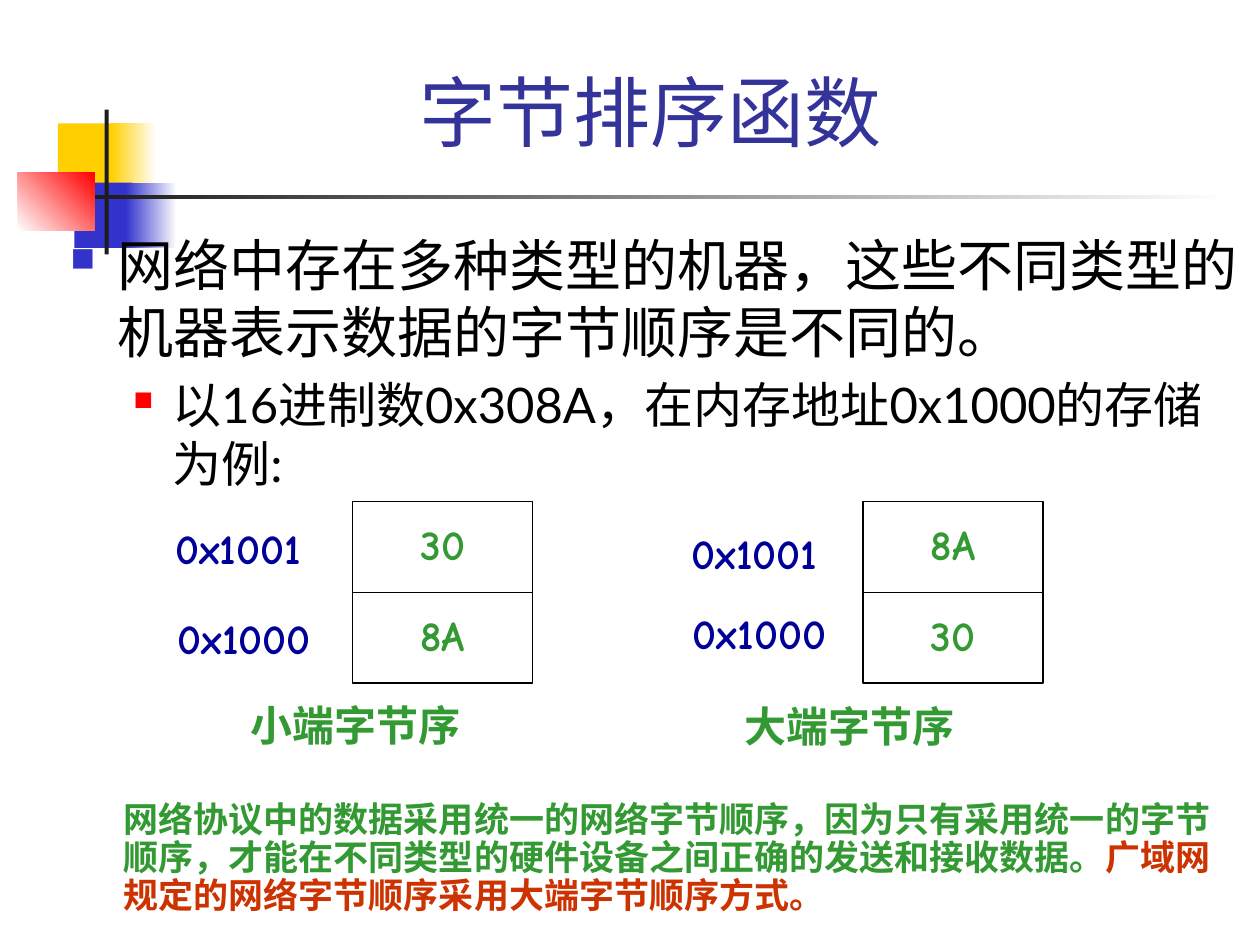
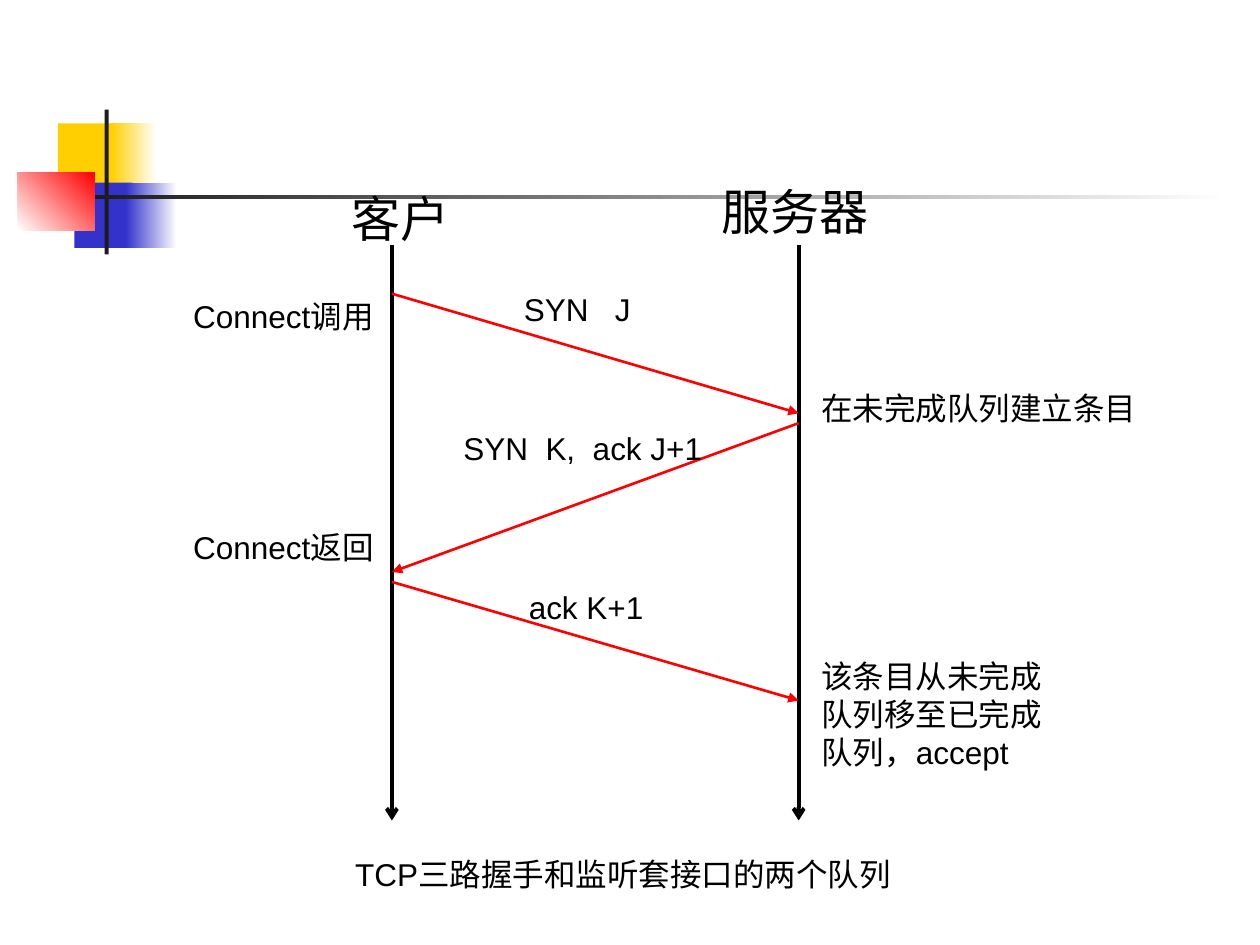
from dataclasses import dataclass

from lxml import etree
from pptx import Presentation
from pptx.dml.color import RGBColor
from pptx.enum.shapes import MSO_CONNECTOR, MSO_SHAPE
from pptx.enum.text import MSO_ANCHOR, PP_ALIGN
from pptx.oxml.ns import qn
from pptx.util import Cm, Pt

RECT = MSO_SHAPE.RECTANGLE
LINE = MSO_CONNECTOR.STRAIGHT
TOP, MID, LOW = MSO_ANCHOR.TOP, MSO_ANCHOR.MIDDLE, MSO_ANCHOR.BOTTOM
LEFT, CENTER, RIGHT = PP_ALIGN.LEFT, PP_ALIGN.CENTER, PP_ALIGN.RIGHT


@dataclass(frozen=True)
class Theme:
    black: str = "000000"
    white: str = "FFFFFF"
    ink: str = "1C1C1C"
    gold: str = "FFCF01"
    blue: str = "3333CC"
    red: str = "FF0000"
    title: str = "333399"
    green: str = "339933"
    navy: str = "000099"
    rust: str = "CC3300"
    head: str = "Lato"
    comic: str = "Comic Neue"
    plain: str = "Arial"
    huge: int = 44
    big: int = 32
    mid: int = 28
    cell: int = 24
    note: int = 20
    small: int = 18


T = Theme()

BANDS = [
    ((1.17, 2.49, 1.22, 1.32), [T.gold], 0),
    ((2.24, 2.49, 0.91, 1.32), [T.gold, T.white], 0),
    ((1.5, 3.68, 1.17, 1.32), [T.blue], 0),
    ((2.54, 3.68, 1.02, 1.32), [T.blue, T.white], 0),
    ((0.36, 3.48, 1.55, 1.17), [T.white, T.red], 45),
    ((2.11, 2.21, 0.08, 2.92), [T.ink], 0),
    ((1.91, 3.94, 22.86, 0.08), [T.ink, T.white], 0),
]

TITLE = "字节排序函数"
POINTS = [
    ("网络中存在多种类型的机器，这些不同类型的机器表示数据的字节顺序是不同的。",
     T.big, 0, 0.95, 0.95, T.blue, 60),
    ("以16进制数0x308A，在内存地址0x1000的存储为例:",
     T.mid, 5.6, 2.06, 0.79, T.red, 55),
]
ORDERS = [
    {"left": 7.11, "cells": ["30", "8A"],
     "marks": [("0x1001", 3.28, 10.52), ("0x1000", 3.33, 12.34)],
     "name": ("小端字节序", 4.8, 14.1)},
    {"left": 17.4, "cells": ["8A", "30"],
     "marks": [("0x1001", 13.69, 10.62), ("0x1000", 13.72, 12.24)],
     "name": ("大端字节序", 14.76, 14.12)},
]
CELL_TOP, CELL_W, CELL_H = 10.11, 3.63, 1.83
NOTE = [
    ("网络协议中的数据采用统一的网络字节顺序，因为只有采用统一的字节顺序，"
     "才能在不同类型的硬件设备之间正确的发送和接收数据。", T.green),
    ("广域网规定的网络字节顺序采用大端字节顺序方式。", T.rust),
]

CLIENT, SERVER = 7.9, 16.1
START, END = 4.93, 16.54
PEERS = [("客户", 6.83, 3.68, 2.49), ("服务器", 14.3, 3.53, 3.48)]
FLOWS = [
    (CLIENT, 5.92, SERVER, 8.33),
    (SERVER, 8.53, CLIENT, 11.53),
    (CLIENT, 11.73, SERVER, 14.12),
]
LABELS = [
    ([("Connect调用", 0)], 2.29, 5.87, 5.49, RIGHT),
    ([("Connect返回", 0)], 2.29, 10.52, 5.49, RIGHT),
    ([("在未完成队列建立条目", 0)], 16.31, 7.72, 7.21, LEFT),
    ([("该条目从未完成队列移至已完成队列，accept", 0)], 16.31, 13.13, 5.49, LEFT),
    ([("SYN", 0), (" ", 10), ("J", 0)], 10.31, 5.72, 5.49, LEFT),
    ([("SYN", 0), (" ", 5), ("K,", 0), (" ", 5), ("ack J+1", 0)],
     9.09, 8.53, 5.49, LEFT),
    ([("ack K+1", 0)], 10.41, 11.73, 5.49, LEFT),
    ([("TCP三路握手和监听套接口的两个队列", 0)], 6.91, 17.12, 13.79, LEFT),
]


def rgb(tone):
    return RGBColor.from_string(tone)


def block(slide, area):
    shape = slide.shapes.add_shape(RECT, *map(Cm, area))
    shape.shadow.inherit = False
    return shape


def frame(slide, area, wrap=True, anchor=TOP):
    text = slide.shapes.add_textbox(*map(Cm, area)).text_frame
    text.word_wrap = wrap
    text.vertical_anchor = anchor
    return text


def write(para, text, face, size, tone, bold=False, gap=0):
    run = para.add_run()
    run.text = text
    run.font.name = face
    run.font.size = Pt(size)
    run.font.bold = bold
    run.font.color.rgb = rgb(tone)
    if gap:
        run.font._element.set("spc", str(gap * 100))


def comic(para, text, tone, size=T.cell):
    para.line_spacing = 0.9
    write(para, text, T.comic, size, tone, True)


def bullet(para, left, hang, tone, scale):
    props = para._p.get_or_add_pPr()
    props.set("marL", str(Cm(left)))
    props.set("indent", str(-Cm(hang)))
    color = etree.SubElement(props, qn("a:buClr"))
    etree.SubElement(color, qn("a:srgbClr"), val=tone)
    etree.SubElement(props, qn("a:buSzPct"), val=str(scale * 1000))
    etree.SubElement(props, qn("a:buChar"), char="■")


def arrow(slide, ends, tone, width, tip):
    link = slide.shapes.add_connector(LINE, *map(Cm, ends))
    link.line.color.rgb = rgb(tone)
    link.line.width = Pt(width)
    etree.SubElement(link.line._get_or_add_ln(), qn("a:tailEnd"), type=tip)
    etree.SubElement(link._element.spPr, qn("a:effectLst"))


def page(deck):
    slide = deck.slides.add_slide(deck.slide_layouts[6])
    for area, tones, angle in BANDS:
        band = block(slide, area)
        band.line.fill.background()
        if len(tones) == 1:
            band.fill.solid()
            band.fill.fore_color.rgb = rgb(tones[0])
        else:
            band.fill.gradient()
            band.fill.gradient_angle = angle
            for stop, tone in zip(band.fill.gradient_stops, tones):
                stop.color.rgb = rgb(tone)
    return slide


def memory(slide, order):
    for row, value in enumerate(order["cells"]):
        top = CELL_TOP + row * CELL_H
        cell = block(slide, (order["left"], top, CELL_W, CELL_H))
        cell.fill.background()
        cell.line.color.rgb = rgb(T.black)
        cell.line.width = Pt(0.75)
        cell.text_frame.vertical_anchor = MID
        para = cell.text_frame.paragraphs[0]
        para.alignment = CENTER
        comic(para, value, T.green)
    for mark, left, top in order["marks"]:
        text = frame(slide, (left, top, 4.17, 1.17))
        comic(text.paragraphs[0], mark, T.navy)
    name, left, top = order["name"]
    text = frame(slide, (left, top, 4.78, 1.17), False)
    comic(text.paragraphs[0], name, T.green)


def bytes_page(deck):
    slide = page(deck)
    para = frame(slide, (2.29, 1.93, 21.64, 1.35), anchor=LOW).paragraphs[0]
    para.alignment = CENTER
    write(para, TITLE, T.head, T.huge, T.title)
    body = frame(slide, (1.17, 4.52, 24.13, 13.94))
    for level, (text, size, before, left, hang, tone, scale) in enumerate(POINTS):
        para = body.add_paragraph() if level else body.paragraphs[0]
        para.level = level
        para.space_before = Pt(before)
        bullet(para, left, hang, tone, scale)
        write(para, text, T.head, size, T.black)
    for order in ORDERS:
        memory(slide, order)
    para = frame(slide, (2.24, 16.05, 22.43, 2.54)).paragraphs[0]
    for text, tone in NOTE:
        comic(para, text, tone, T.note)


def shake_page(deck):
    slide = page(deck)
    for x in (CLIENT, SERVER):
        arrow(slide, (x, START, x, END), T.black, 2.25, "arrow")
    for ends in FLOWS:
        arrow(slide, ends, T.red, 1.5, "triangle")
    for name, left, top, width in PEERS:
        text = frame(slide, (left, top, width, 1.45), False)
        write(text.paragraphs[0], name, T.plain, T.mid, T.black)
    for runs, left, top, width, align in LABELS:
        para = frame(slide, (left, top, width, 1.02)).paragraphs[0]
        para.alignment = align
        for text, gap in runs:
            write(para, text, T.plain, T.small, T.black, gap=gap)


def main():
    deck = Presentation()
    deck.slide_width, deck.slide_height = Cm(25.4), Cm(19.05)
    bytes_page(deck)
    shake_page(deck)
    deck.save("out.pptx")


if __name__ == "__main__":
    main()
